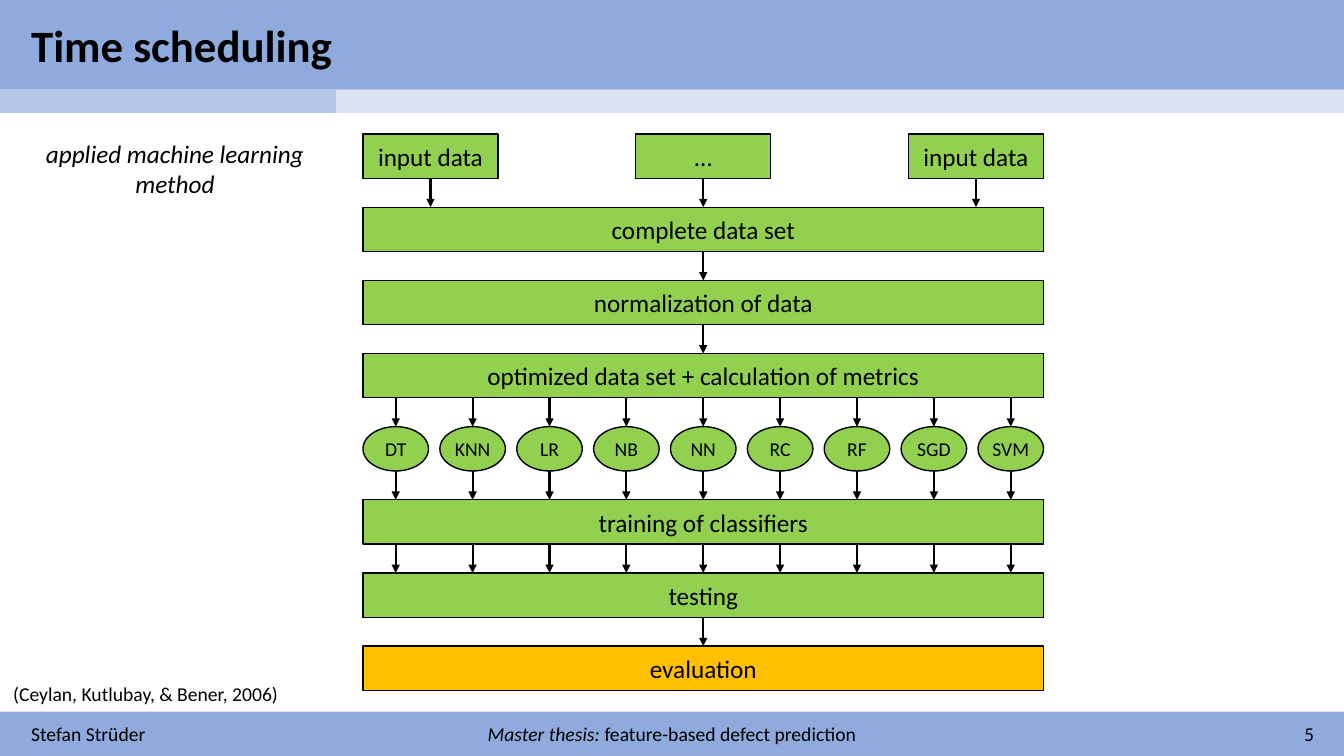
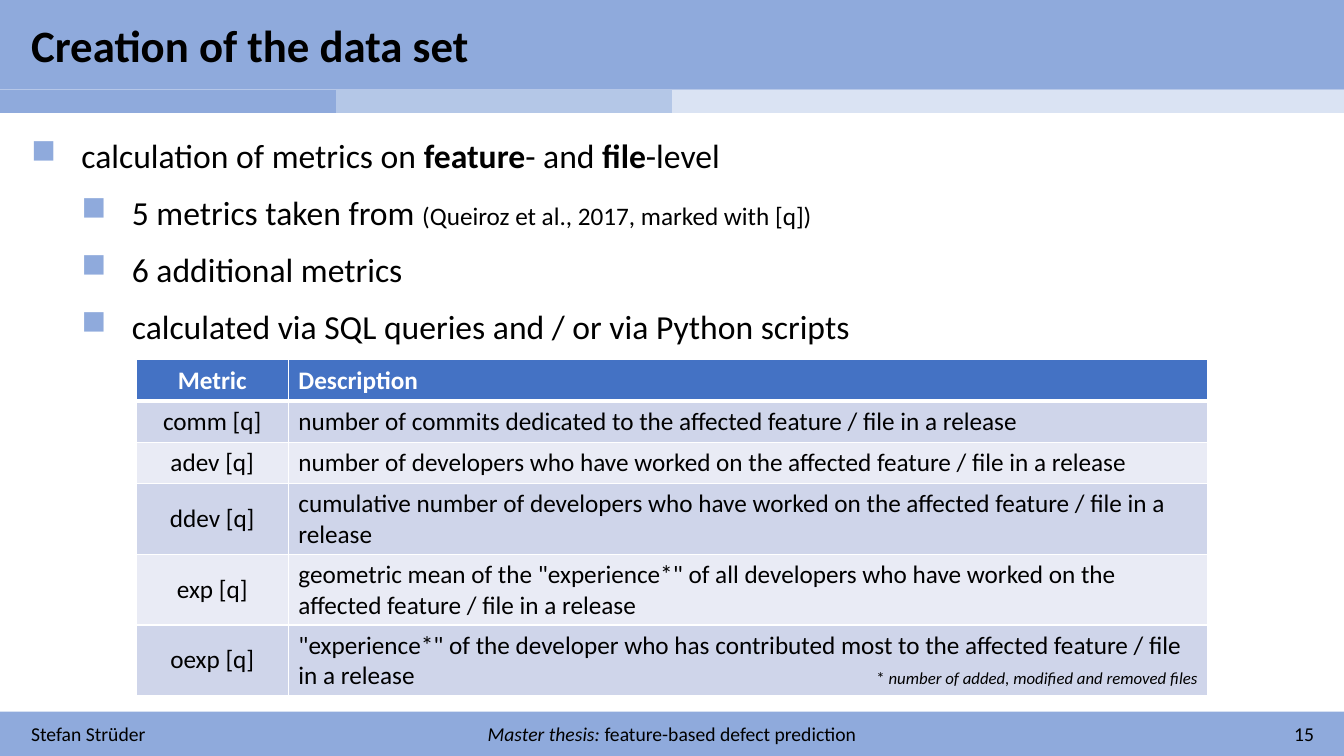
from dataclasses import dataclass

from lxml import etree
from pptx import Presentation
from pptx.dml.color import RGBColor
from pptx.enum.shapes import MSO_CONNECTOR, MSO_SHAPE
from pptx.enum.text import MSO_ANCHOR, PP_ALIGN
from pptx.oxml.ns import qn
from pptx.util import Inches, Pt

LEFT, CENTER, RIGHT = PP_ALIGN.LEFT, PP_ALIGN.CENTER, PP_ALIGN.RIGHT
TOP, MIDDLE = MSO_ANCHOR.TOP, MSO_ANCHOR.MIDDLE
RECT, OVAL = MSO_SHAPE.RECTANGLE, MSO_SHAPE.OVAL
STRAIGHT = MSO_CONNECTOR.STRAIGHT


@dataclass(frozen=True)
class Theme:
    font: str = "Calibri"
    black: str = "000000"
    white: str = "FFFFFF"
    band: str = "8FAADC"
    current: str = "B4C7E7"
    ahead: str = "DAE3F3"
    step: str = "92D050"
    result: str = "FFC000"
    head: str = "4472C4"
    rows: tuple = ("CFD5EA", "E9EBF5")
    title: int = 32
    bullet: int = 24
    body: int = 18
    small: int = 14
    note: int = 12


T = Theme()
W, H = 13.33, 7.5
NO_GRID = "{2D5ABB26-0587-4C30-8999-92F81FD0307C}"


# Shared helpers
def inches(*values):
    return [Inches(v) for v in values]


def rgb(color):
    return RGBColor.from_string(color)


def fill(part, color):
    part.fill.solid()
    part.fill.fore_color.rgb = rgb(color)


def write(p, runs, size, align=LEFT, color=T.black, bold=None, italic=None):
    """runs is a string or a list of (text, font settings)."""
    p.alignment = align
    f = p.font
    f.name, f.size, f.bold, f.italic = T.font, Pt(size), bold, italic
    f.color.rgb = rgb(color)
    for text, settings in [(runs, {})] if isinstance(runs, str) else runs:
        r = p.add_run()
        r.text = text
        for name, value in settings.items():
            setattr(r.font, name, value)


def add_text(s, box, paragraphs, size, anchor=TOP, wrap=True, **style):
    tf = s.shapes.add_textbox(*inches(*box)).text_frame
    tf.word_wrap, tf.vertical_anchor = wrap, anchor
    for i, runs in enumerate(paragraphs):
        p = tf.add_paragraph() if i else tf.paragraphs[0]
        write(p, runs, size, **style)
    return tf


def add_box(s, kind, box, color, text=None, size=T.body, outlined=True):
    sp = s.shapes.add_shape(kind, *inches(*box))
    sp.shadow.inherit = False
    fill(sp, color)
    if outlined:
        sp.line.color.rgb, sp.line.width = rgb(T.black), Pt(1)
    else:
        sp.line.fill.background()
    if text:
        tf = sp.text_frame
        tf.margin_left = tf.margin_right = 0
        tf.vertical_anchor = MIDDLE
        write(tf.paragraphs[0], text, size, CENTER)


def add_arrow(s, x, top, bottom):
    c = s.shapes.add_connector(STRAIGHT, *inches(x, top, x, bottom))
    c.line.color.rgb, c.line.width = rgb(T.black), Pt(1.5)
    etree.SubElement(c.line._get_or_add_ln(), qn("a:tailEnd"), type="triangle")
    etree.SubElement(c._element.spPr, qn("a:effectLst"))


def add_plain_table(s, rows, cols, box):
    tbl = s.shapes.add_table(rows, cols, *inches(*box)).table
    tbl.first_row = tbl.horz_banding = False
    tbl._tbl.tblPr.find(qn("a:tableStyleId")).text = NO_GRID
    return tbl


def add_borders(cell, bottom):
    tc_pr = cell._tc.get_or_add_tcPr()
    for i, (side, width) in enumerate(zip("LRTB", (1, 1, 1, bottom))):
        ln = etree.Element(qn("a:ln" + side), w=str(Pt(width)))
        paint = etree.SubElement(ln, qn("a:solidFill"))
        etree.SubElement(paint, qn("a:srgbClr"), val=T.white)
        tc_pr.insert(i, ln)


# Frame of every slide: bands, title, footer, progress strip
def add_progress(s, box, chapter, chapters=4):
    tbl = add_plain_table(s, 1, chapters, box)
    tbl.rows[0].height = Inches(box[3])
    for i in range(chapters):
        tbl.columns[i].width = Inches(box[2] / chapters)
        cell = tbl.cell(0, i)
        cell.margin_top = cell.margin_bottom = 0
        cell.text_frame.paragraphs[0].font.size = Pt(T.note)
        fill(cell, T.band if i < chapter else
             T.current if i == chapter else T.ahead)


def add_frame(prs, title, title_w, number, chapter):
    s = prs.slides.add_slide(prs.slide_layouts[6])
    add_box(s, RECT, (0, 7.06, W, 0.44), T.band, outlined=False)
    add_box(s, RECT, (0, 0, W, 0.89), T.band, outlined=False)
    add_text(s, (0.21, 0.13, title_w, 0.64), [title], T.title, wrap=False, bold=True)
    thesis = [("Master thesis: ", {"italic": True}),
              ("feature-based defect prediction", {})]
    for x, w, runs, align in ((0.21, 3.59, "Stefan Strüder", LEFT),
                              (4.62, 4.09, thesis, CENTER),
                              (9.54, 3.59, str(number), RIGHT)):
        add_text(s, (x, 7.11, w, 0.34), [runs], T.small, MIDDLE, align=align)
    add_progress(s, (0, 0.89, W, 0.23), chapter)
    return s


# Flow chart: rows at an equal pitch, arrows in the gaps
def add_flow(s, box):
    x, y, w, h = box
    bar_h, input_w, oval_w = 0.44, 1.34, 0.65
    inputs = ["input data", "…", "input data"]
    classifiers = ["DT", "KNN", "LR", "NB", "NN", "RC", "RF", "SGD", "SVM"]
    levels = [inputs, "complete data set", "normalization of data",
              "optimized data set + calculation of metrics", classifiers,
              "training of classifiers", "testing", "evaluation"]
    pitch = (h - bar_h) / (len(levels) - 1)

    def spread(count, part_w):
        return [x + i * (w - part_w) / (count - 1) for i in range(count)]

    input_xs = spread(len(inputs), input_w)
    oval_xs = spread(len(classifiers), oval_w)
    for i, level in enumerate(levels):
        top = y + i * pitch
        if level is inputs:
            for left, text in zip(input_xs, inputs):
                add_box(s, RECT, (left, top, input_w, bar_h), T.step, text)
        elif level is classifiers:
            for left, text in zip(oval_xs, classifiers):
                add_box(s, OVAL, (left, top, oval_w, bar_h), T.step, text, T.small)
        else:
            color = T.result if level == levels[-1] else T.step
            add_box(s, RECT, (x, top, w, bar_h), color, level)

    input_mids = [left + input_w / 2 for left in input_xs]
    oval_mids = [left + oval_w / 2 for left in oval_xs]
    middle = [x + w / 2]
    gaps = [input_mids, middle, middle, oval_mids, oval_mids, oval_mids, middle]
    for i, mids in enumerate(gaps):
        for mid in mids:
            add_arrow(s, mid, y + i * pitch + bar_h, y + (i + 1) * pitch)


# Bulleted list of (level, runs)
def add_bullets(s, box, items):
    tf = add_text(s, box, [runs for _, runs in items], T.bullet)
    for p, (level, _) in zip(tf.paragraphs, items):
        p.level, p.space_before = level, Pt(12)
        p_pr = p._p.get_or_add_pPr()
        p_pr.set("marL", str(Inches(0.5 * (level + 1))))
        p_pr.set("indent", str(Inches(-0.5)))
        color = etree.Element(qn("a:buClr"))
        etree.SubElement(color, qn("a:srgbClr"), val=T.band)
        char = etree.Element(qn("a:buChar"), char="■")
        at = p_pr.index(p_pr.find(qn("a:defRPr")))
        p_pr.insert(at, color)
        p_pr.insert(at + 1, char)


# Table of metrics
def add_metrics(s, box, rows):
    name_w, line_h, two_line_h = 1.51, 0.41, 0.7
    tbl = add_plain_table(s, len(rows), 2, box)
    for col, w in zip(tbl.columns, (name_w, box[2] - name_w)):
        col.width = Inches(w)
    for i, row in enumerate(rows):
        head = i == 0
        tbl.rows[i].height = Inches(line_h if i < 3 else two_line_h)
        for j, text in enumerate(row):
            cell = tbl.cell(i, j)
            cell.vertical_anchor = MIDDLE
            fill(cell, T.head if head else T.rows[(i - 1) % 2])
            add_borders(cell, 3 if head else 1)
            write(cell.text_frame.paragraphs[0], text, T.body,
                  LEFT if j else CENTER, T.white if head else T.black, bold=head)


# Slides
def build_schedule(prs):
    s = add_frame(prs, "Time scheduling", 3.21, 5, chapter=0)
    add_text(s, (0, 6.72, 2.86, 0.34), ["(Ceylan, Kutlubay, & Bener, 2006)"],
             T.small, wrap=False, align=RIGHT)
    add_text(s, (0.34, 1.32, 2.79, 0.71), ["applied machine learning", "method"],
             T.body, wrap=False, align=CENTER, italic=True)
    add_flow(s, (3.6, 1.33, 6.75, 5.52))


def build_data_set(prs):
    s = add_frame(prs, "Creation of the data set", 4.59, 15, chapter=1)
    bold = {"bold": True}
    add_bullets(s, (0.21, 1.29, 9.07, 2.22), [
        (0, [("calculation of metrics on ", {}), ("feature", bold),
             ("- and ", {}), ("file", bold), ("-level", {})]),
        (1, [("5 metrics taken from ", {}),
             ("(Queiroz et al., 2017, marked with [q])", {"size": Pt(T.body)})]),
        (1, "6 additional metrics"),
        (1, "calculated via SQL queries and / or via Python scripts"),
    ])
    target = "the affected feature / file in a release"
    add_metrics(s, (1.35, 3.57, 10.63, 3.32), [
        ("Metric", "Description"),
        ("comm [q]", f"number of commits dedicated to {target}"),
        ("adev [q]", f"number of developers who have worked on {target}"),
        ("ddev [q]", f"cumulative number of developers who have worked on {target}"),
        ("exp [q]", 'geometric mean of the "experience*" of all developers '
                    f"who have worked on {target}"),
        ("oexp [q]", '"experience*" of the developer who has contributed most '
                     f"to {target}"),
    ])
    note = [("* ", {}),
            ("number of added, modified and removed files", {"italic": True})]
    add_text(s, (8.52, 6.58, 3.46, 0.3), [note], T.note, wrap=False, align=RIGHT)


prs = Presentation()
prs.slide_width, prs.slide_height = inches(W, H)
build_schedule(prs)
build_data_set(prs)
prs.save("out.pptx")
